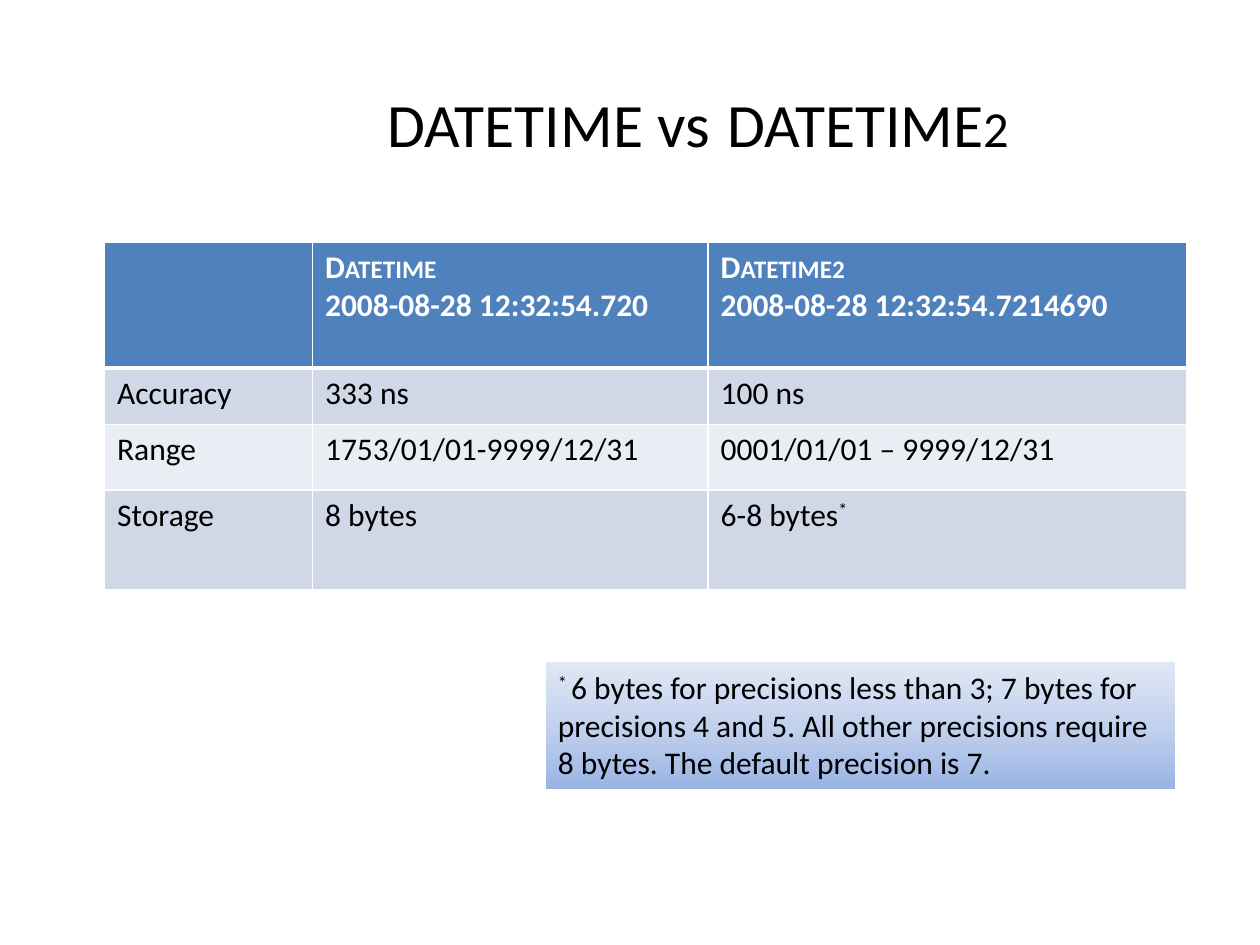
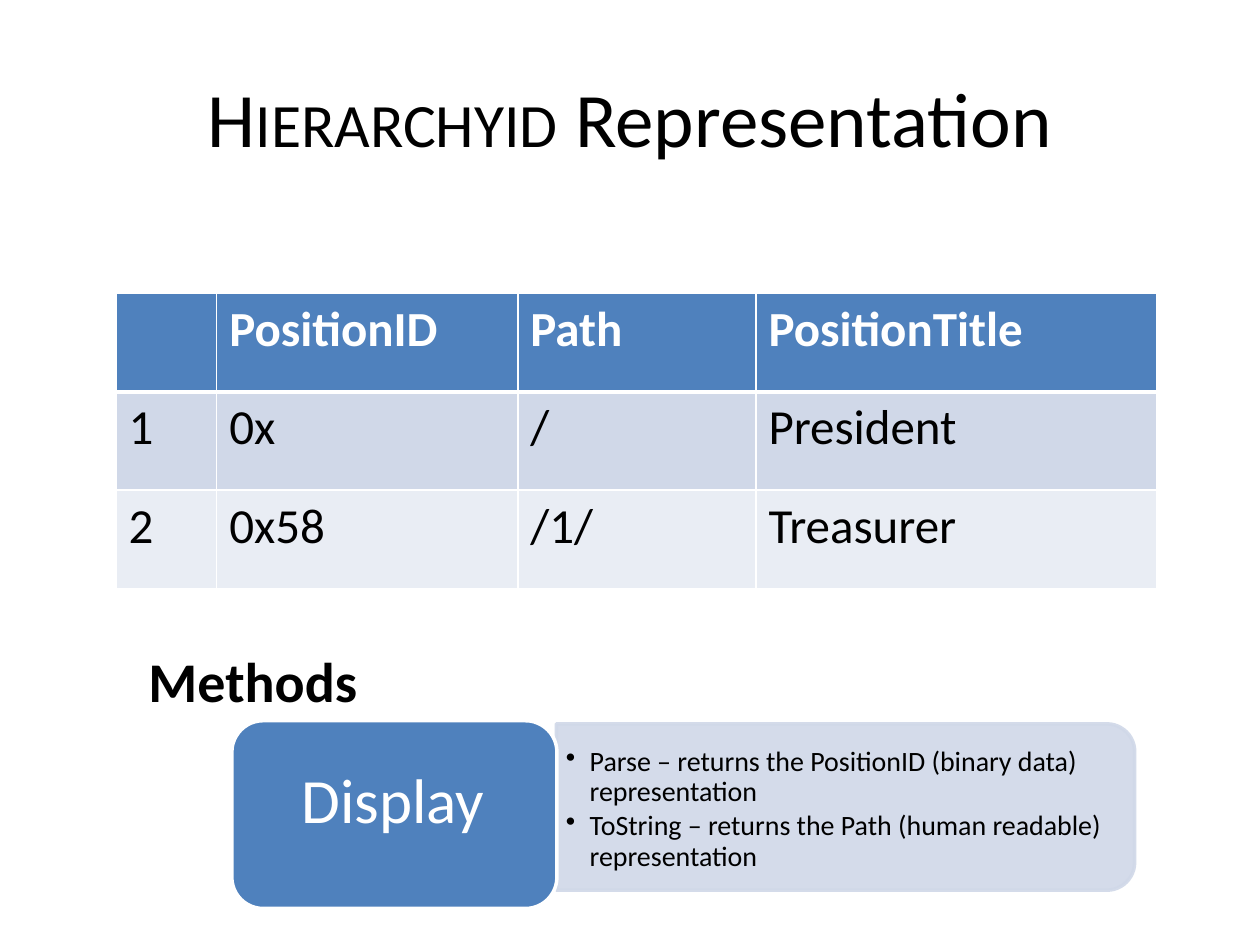
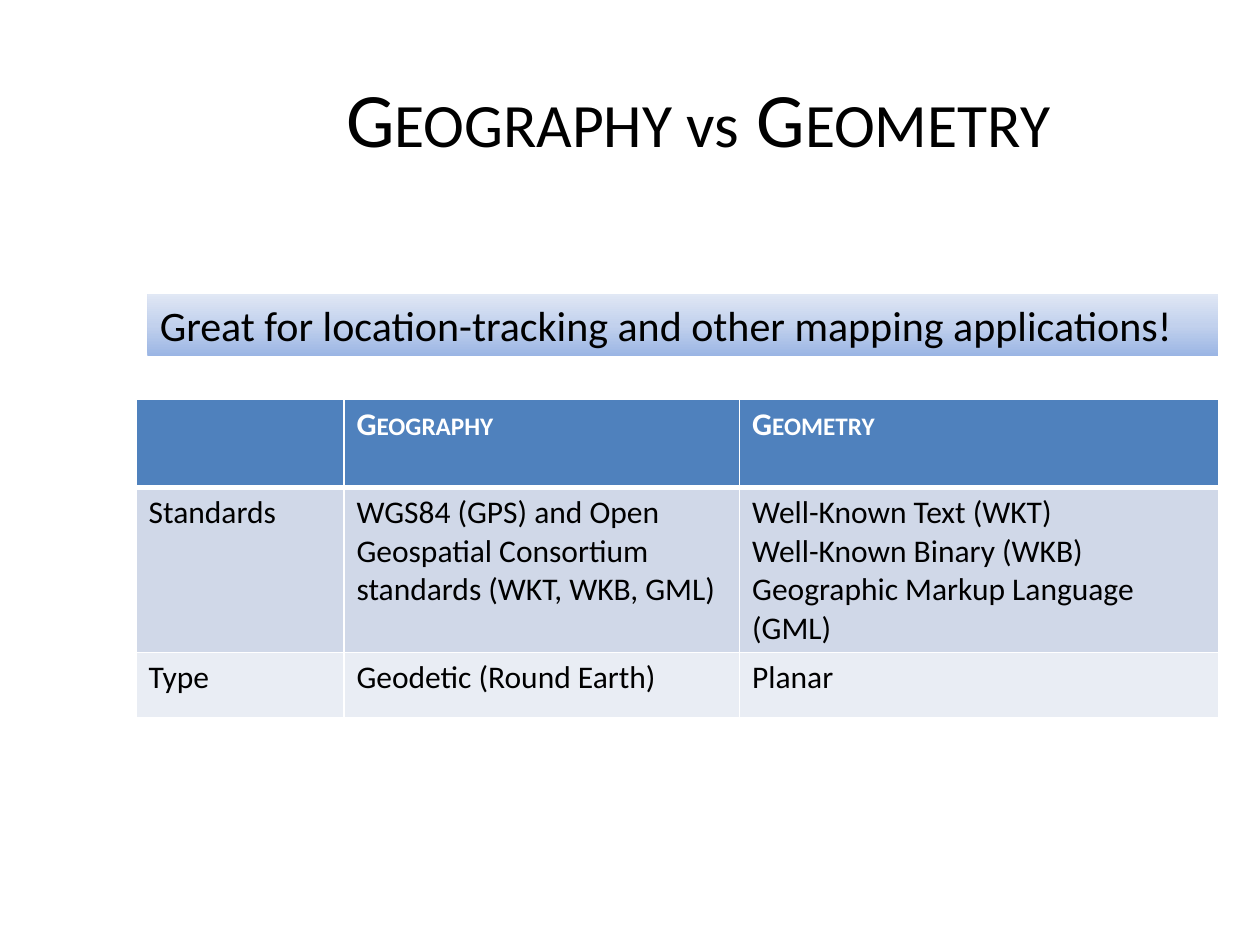
"""Builds three slides that compare and explain database column types."""
from copy import deepcopy

from lxml.etree import SubElement
from pptx import Presentation
from pptx.dml.color import RGBColor
from pptx.enum.shapes import MSO_SHAPE as Shape
from pptx.enum.text import MSO_ANCHOR as Anchor, MSO_AUTO_SIZE as AutoSize, PP_ALIGN as Align
from pptx.oxml.ns import qn
from pptx.util import Inches, Pt

SMALL_CAPS = {"cap": "small"}
SUPERSCRIPT = {"baseline": "30000"}
LESSER = {"sz": "3600"}
TYPE_COLUMNS = (1.65, 3.14, 3.8)


def rgb(value):
    """Return the colour for a hex string."""
    return RGBColor.from_string(value)


def box(left, top, width, height):
    """Return a position and size given in inches as lengths."""
    return [Inches(length) for length in (left, top, width, height)]


class Deck:
    """Holds the shared style and the current slide."""

    FONT = "Calibri"
    BLACK, WHITE, BLUE = "000000", "FFFFFF", "4F81BD"
    BANDS = ("D0D8E8", "E9EDF4")
    GRADIENT = ((0, "9AB5E4"), (0.5, "C2D1ED"), (1, "E1E8F5"))

    def __init__(self):
        """Start an empty 10 by 7.5 inch presentation."""
        self.presentation = Presentation()
        self.presentation.slide_width = Inches(10)
        self.presentation.slide_height = Inches(7.5)
        self.slide = None

    def start_slide(self):
        """Add a blank slide and make it current."""
        self.slide = self.presentation.slides.add_slide(self.presentation.slide_layouts[6])

    def fill_frame(self, frame, paragraphs, size, color=BLACK, bold=False, align=Align.LEFT,
                   bullet=False, line_spacing=None, space_after=None):
        """Fill a text frame; a paragraph is a string or a list of (text, run attributes)."""
        for index, content in enumerate(paragraphs):
            paragraph = frame.paragraphs[0] if index == 0 else frame.add_paragraph()
            paragraph.alignment = align
            paragraph.line_spacing = line_spacing
            paragraph.space_after = space_after
            if bullet:
                properties = paragraph._p.get_or_add_pPr()
                properties.set("marL", str(Inches(0.19)))
                properties.set("indent", str(-Inches(0.19)))
                SubElement(properties, qn("a:buChar")).set("char", "•")
            font = paragraph.font
            font.name, font.size, font.bold = self.FONT, Pt(size), bold
            font.color.rgb = rgb(color)
            for text, attributes in [(content, {})] if isinstance(content, str) else content:
                run = paragraph.add_run()
                run.text = text
                for name, value in attributes.items():
                    run._r.get_or_add_rPr().set(name, value)

    def text(self, place, paragraphs, size, margins=(0.1, 0.05), anchor=Anchor.MIDDLE,
             wrap=True, **style):
        """Add a text box."""
        frame = self.slide.shapes.add_textbox(*box(*place)).text_frame
        frame.word_wrap, frame.vertical_anchor = wrap, anchor
        frame.margin_left = frame.margin_right = Inches(margins[0])
        frame.margin_top = frame.margin_bottom = Inches(margins[1])
        self.fill_frame(frame, paragraphs, size, **style)

    def title(self, runs, left=1.58):
        """Add a centred title that ends at the shared right margin."""
        self.text((left, 0.3, 9.5 - left, 1.25), [runs], 44, align=Align.CENTER)

    def panel(self, preset, place, fill, line, rotation=0, opacity=None):
        """Add a filled and outlined shape."""
        shape = self.slide.shapes.add_shape(preset, *box(*place))
        shape.shadow.inherit = False
        shape.rotation = rotation
        shape.fill.solid()
        shape.fill.fore_color.rgb = rgb(fill)
        shape.line.color.rgb = rgb(line)
        shape.line.width = Pt(2)
        if opacity:
            for color in shape._element.spPr.iter(qn("a:srgbClr")):
                SubElement(color, qn("a:alpha")).set("val", str(opacity * 1000))

    def note(self, place, content, size):
        """Add a remark on a vertical gradient."""
        shape = self.slide.shapes.add_shape(Shape.RECTANGLE, *box(*place))
        shape.shadow.inherit = False
        shape.line.fill.background()
        shape.fill.gradient()
        shape.fill.gradient_angle = 90
        stops = shape._element.spPr.find(".//" + qn("a:gsLst"))
        stops.append(deepcopy(stops[0]))
        for stop, (position, color) in zip(shape.fill.gradient_stops, self.GRADIENT):
            stop.position = position
            stop.color.rgb = rgb(color)
        frame = shape.text_frame
        frame.word_wrap, frame.vertical_anchor = True, Anchor.TOP
        frame.auto_size = AutoSize.SHAPE_TO_FIT_TEXT
        self.fill_frame(frame, [content], size)

    def border(self, cell, header):
        """Draw white cell borders, with a heavier one below the header."""
        properties = cell._tc.get_or_add_tcPr()
        for side in "LRTB":
            line = SubElement(properties, qn(f"a:ln{side}"))
            line.set("w", str(Pt(3 if header and side == "B" else 1)))
            SubElement(SubElement(line, qn("a:solidFill")), qn("a:srgbClr")).set("val", self.WHITE)

    def table(self, left, top, columns, heights, rows, size):
        """Add a banded table; a cell is a list of paragraphs."""
        place = box(left, top, sum(columns), sum(heights))
        table = self.slide.shapes.add_table(len(rows), len(columns), *place).table
        for column, width in zip(table.columns, columns):
            column.width = Inches(width)
        for index, (height, contents) in enumerate(zip(heights, rows)):
            table.rows[index].height = Inches(height)
            header = index == 0
            for cell, paragraphs in zip(table.rows[index].cells, contents):
                self.border(cell, header)
                cell.fill.solid()
                cell.fill.fore_color.rgb = rgb(self.BLUE if header else self.BANDS[(index - 1) % 2])
                self.fill_frame(cell.text_frame, paragraphs, size,
                                color=self.WHITE if header else self.BLACK, bold=header)


def datetime_slide(deck):
    """Compare the two date and time types."""
    deck.start_slide()
    deck.title([("datetime ", SMALL_CAPS), ("vs", LESSER), (" ", {}), ("datetime", SMALL_CAPS),
                ("2", SMALL_CAPS | LESSER)])
    deck.table(0.83, 1.92, TYPE_COLUMNS, (1, 0.45, 0.52, 0.79), [
        [[], [[("Datetime", SMALL_CAPS)], "2008-08-28 12:32:54.720"],
         [[("Datetime2", SMALL_CAPS)], "2008-08-28 12:32:54.7214690"]],
        [["Accuracy"], ["333 ns"], ["100 ns"]],
        [["Range"], ["1753/01/01-9999/12/31"], ["0001/01/01 – 9999/12/31"]],
        [["Storage"], ["8 bytes"], [[("6-8 bytes", {}), ("*", SUPERSCRIPT)]]],
    ], 18)
    deck.note((4.33, 5.25, 5, 1.01), [
        ("* ", SUPERSCRIPT),
        ("6 bytes for precisions less than 3; 7 bytes for precisions 4 and 5. "
         "All other precisions require 8 bytes. The default precision is 7.", {}),
    ], 18)


def hierarchy_slide(deck):
    """Show how hierarchy positions are stored and displayed."""
    deck.start_slide()
    deck.title([("Hierarchyid", SMALL_CAPS), (" Representation", {})], left=0.5)
    rows = [("", "PositionID", "Path", "PositionTitle"),
            ("1", "0x", "/", "President"),
            ("2", "0x58", "/1/", "Treasurer")]
    deck.table(0.92, 2.33, (0.8, 2.39, 1.89, 3.18), [0.78] * 3,
               [[[value] if value else [] for value in row] for row in rows], 28)
    deck.panel(Shape.ROUND_2_SAME_RECTANGLE, (6.05, 4.11, 1.32, 4.59), deck.BANDS[0],
               deck.BANDS[0], rotation=90, opacity=90)
    deck.text((4.42, 5.97, 4.55, 0.91), [
        "Parse – returns the PositionID (binary data) representation",
        "ToString – returns the Path (human readable) representation",
    ], 16, margins=(0.07, 0.03), bullet=True, line_spacing=0.9, space_after=Pt(2.4))
    deck.panel(Shape.ROUNDED_RECTANGLE, (1.84, 5.72, 2.58, 1.49), deck.BLUE, deck.WHITE)
    deck.text((1.87, 5.98, 2.5, 0.79), ["Display"], 36, margins=(0.15, 0.07), color=deck.WHITE,
              align=Align.CENTER, line_spacing=0.9)
    deck.text((1.08, 5.08, 1.87, 0.72), ["Methods"], 32, anchor=Anchor.TOP, wrap=False, bold=True)


def spatial_slide(deck):
    """Compare the two spatial types."""
    deck.start_slide()
    deck.title([("Geography ", SMALL_CAPS), ("vs", LESSER), (" ", {}), ("Geometry", SMALL_CAPS)])
    deck.table(1.08, 3.17, TYPE_COLUMNS, (0.7, 1.31, 0.52), [
        [[], [[("Geography", SMALL_CAPS)]], [[("Geometry", SMALL_CAPS)]]],
        [["Standards"],
         ["WGS84 (GPS) and Open Geospatial Consortium standards (WKT, WKB, GML)"],
         ["Well-Known Text (WKT)", "Well-Known Binary (WKB)", "Geographic Markup Language (GML)"]],
        [["Type"], ["Geodetic (Round Earth)"], ["Planar"]],
    ], 18)
    deck.note((1.17, 2.33, 8.5, 0.5),
              "Great for location-tracking and other mapping applications!", 24)


def main():
    """Build and save the presentation."""
    deck = Deck()
    datetime_slide(deck)
    hierarchy_slide(deck)
    spatial_slide(deck)
    deck.presentation.save("out.pptx")


if __name__ == "__main__":
    main()
